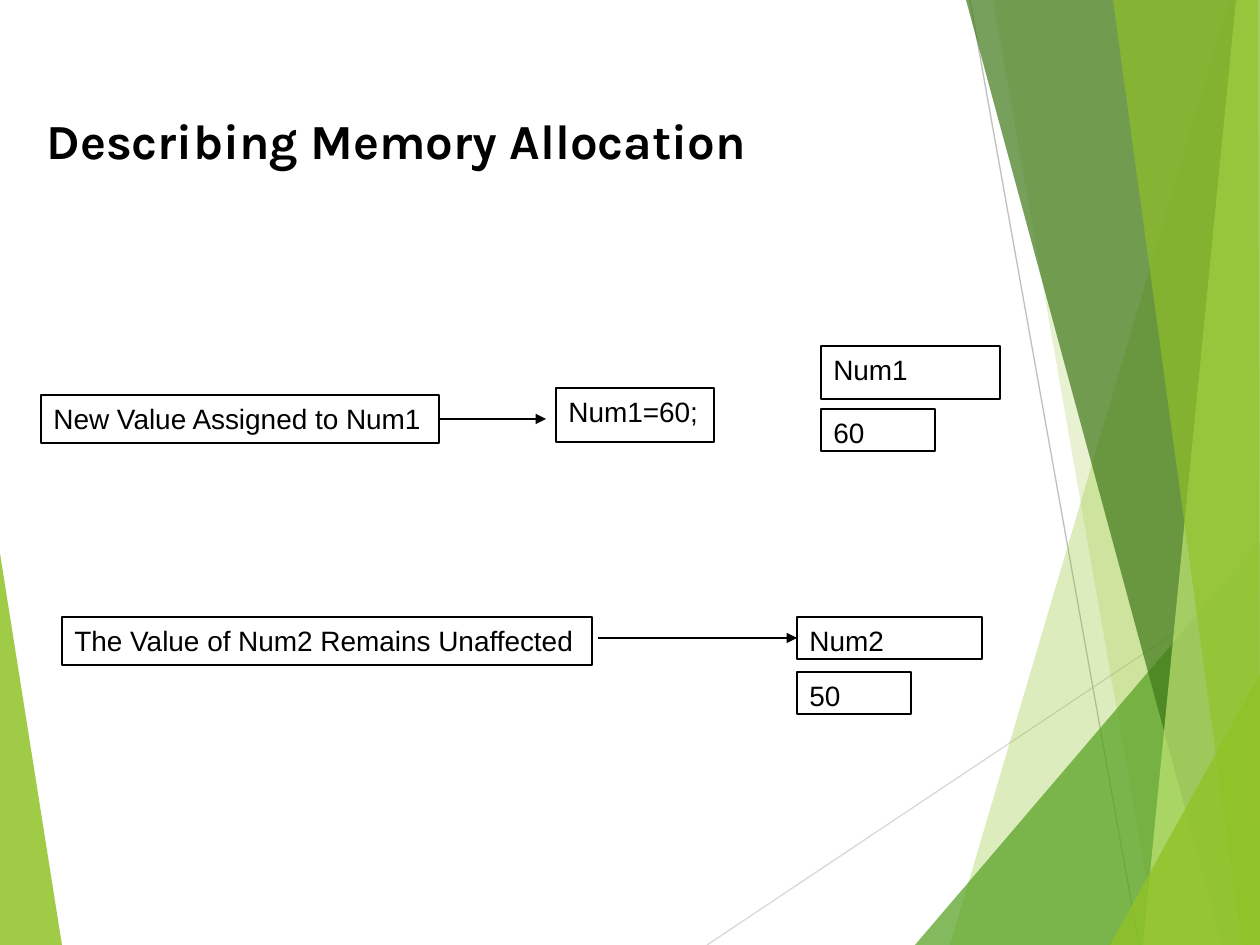
"""Build the memory allocation slide with its faceted green backdrop."""
from lxml import etree
from pptx import Presentation
from pptx.dml.color import RGBColor
from pptx.enum.shapes import MSO_CONNECTOR, MSO_SHAPE
from pptx.enum.text import MSO_ANCHOR, PP_ALIGN
from pptx.oxml.ns import qn
from pptx.util import Pt

PX = 914400 / 126
W, H = 1260, 945
RECT, STRAIGHT = MSO_SHAPE.RECTANGLE, MSO_CONNECTOR.STRAIGHT
TOP, MIDDLE, LEFT = MSO_ANCHOR.TOP, MSO_ANCHOR.MIDDLE, PP_ALIGN.LEFT


def px(*lengths):
    return [round(n * PX) for n in lengths]


def rgb(color):
    return RGBColor.from_string(color)


prs = Presentation()
prs.slide_width, prs.slide_height = px(W, H)
slide = prs.slides.add_slide(prs.slide_layouts[5])
shapes = slide.shapes

facets = [
    ("90C226", 85, [(0, 553), (62, H), (0, H)]),
    ("90C226", 30, [(1229, 0), (950, H), (W, H), (W, 0)]),
    ("90C226", 20, [(993, 0), (1158, H), (W, H), (W, 0)]),
    ("54A021", 72, [(915, H), (W, 541), (W, H)]),
    ("3F7819", 70, [(966, 0), (1222, H), (W, H), (W, 0)]),
    ("C0E474", 70, [(1236, 0), (1143, H), (W, H), (W, 0)]),
    ("90C226", 65, [(1113, 0), (1242, H), (W, H), (1258, 0)]),
    ("90C226", 80, [(1110, H), (W, 674), (W, H)]),
]
lines = []
for i, (color, opacity, points) in enumerate(facets):
    if i == 1:
        for x1, y1, x2, y2, gray in [(707, H, W, 576, "D9D9D9"), (970, 0, 1139, H, "BFBFBF")]:
            line = shapes.add_connector(STRAIGHT, *px(x1, y1, x2, y2))
            line.line.color.rgb = rgb(gray)
            lines.append(line)
    builder = shapes.build_freeform(*points[0], scale=PX)
    builder.add_line_segments(points[1:], close=True)
    sp = builder.convert_to_shape()
    sp.shadow.inherit = False
    sp.line.fill.background()
    sp.fill.solid()
    sp.fill.fore_color.rgb = rgb(color)
    srgb = sp.fill._xPr.find(qn("a:solidFill"))[0]
    etree.SubElement(srgb, qn("a:alpha"), val=str(opacity * 1000))

title = shapes.title
title.left, title.top, title.width, title.height = px(34, 104, 1194, 72)
tf = title.text_frame
tf.text = "Describing Memory Allocation"
tf.vertical_anchor = MIDDLE
p = tf.paragraphs[0]
p.alignment = LEFT
font = p.runs[0].font
font.name, font.size, font.bold = "Karla", Pt(28), True
font.color.rgb = rgb("000000")

boxes = {}
for text, x, y, w, h, filled in [
    ("Num1=60;", 556, 388, 158, 54, True),
    ("Num1", 821, 346, 179, 53, True),
    ("60", 821, 409, 114, 42, True),
    ("Num2", 797, 617, 185, 42, True),
    ("50", 797, 672, 114, 42, True),
    ("The Value of Num2 Remains Unaffected", 62, 617, 530, 48, False),
    ("New Value Assigned to Num1", 41, 395, 398, 48, False),
]:
    sp = shapes.add_shape(RECT, *px(x, y, w, h))
    sp.shadow.inherit = False
    if filled:
        sp.fill.solid()
        sp.fill.fore_color.rgb = rgb("FFFFFF")
    else:
        sp.fill.background()
    sp.line.color.rgb = rgb("000000")
    sp.line.width = Pt(0.75)
    tf = sp.text_frame
    tf.text = text
    tf.word_wrap = True
    tf.vertical_anchor = TOP
    p = tf.paragraphs[0]
    p.alignment = LEFT
    font = p.runs[0].font
    font.name, font.size = "Arial", Pt(16)
    font.color.rgb = rgb("000000")
    boxes[text] = sp

to_num2 = shapes.add_connector(STRAIGHT, *px(598, 638, 797, 638))
to_num2.end_connect(boxes["Num2"], 1)
to_code = shapes.add_connector(STRAIGHT, *px(439, 419, 546, 419))
to_code.begin_connect(boxes["New Value Assigned to Num1"], 3)
for arrow in (to_num2, to_code):
    arrow.line.color.rgb = rgb("000000")
    etree.SubElement(arrow.line._get_or_add_ln(), qn("a:tailEnd"), type="triangle")

for line in lines + [to_num2, to_code]:
    line.line.width = Pt(0.75)
    etree.SubElement(line._element.spPr, qn("a:effectLst"))

prs.save("out.pptx")
